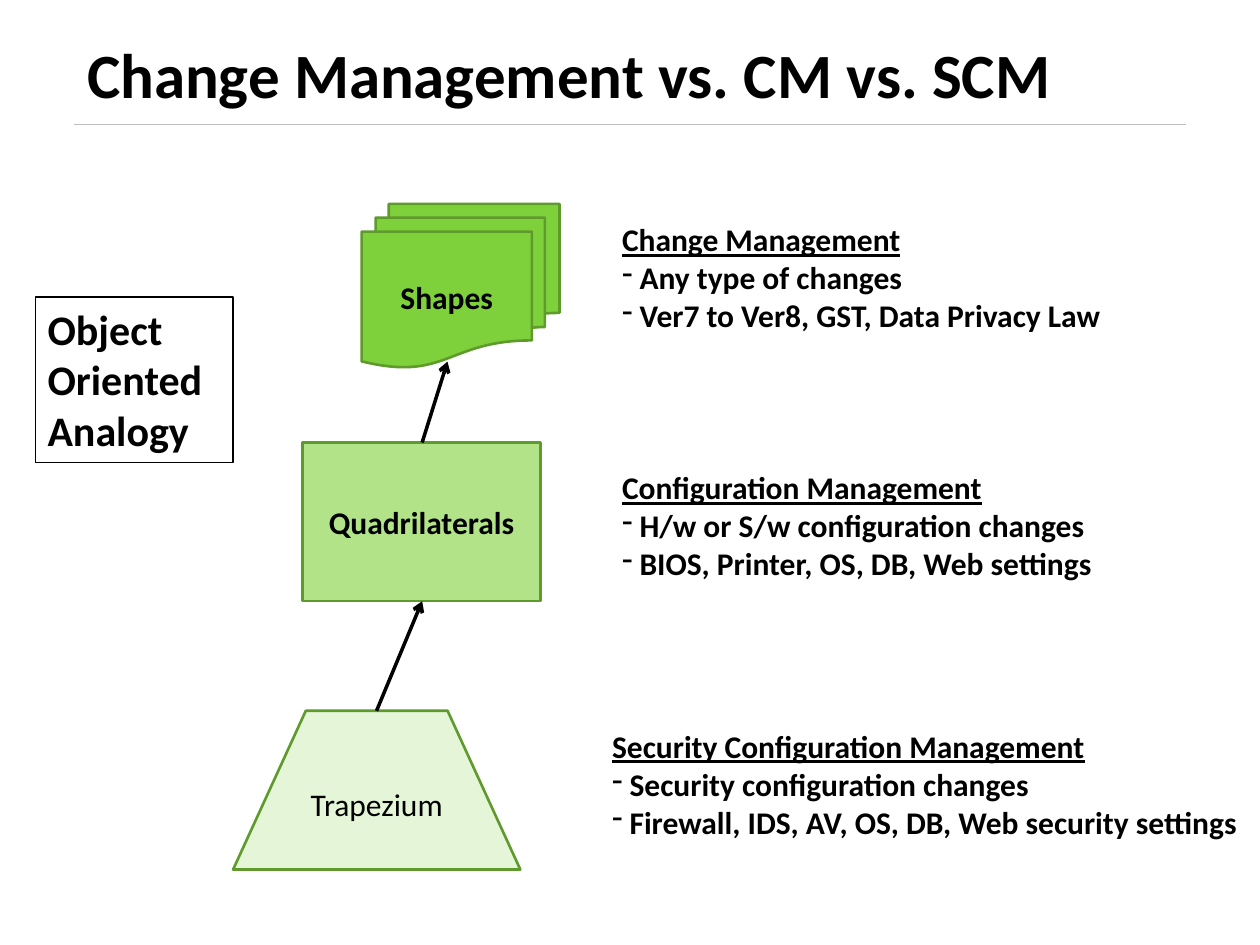
"""Build the slide comparing change, configuration and security configuration management."""
from lxml.etree import SubElement
from pptx import Presentation
from pptx.dml.color import RGBColor
from pptx.enum.shapes import MSO_CONNECTOR, MSO_SHAPE
from pptx.enum.text import MSO_ANCHOR, PP_ALIGN
from pptx.oxml.ns import qn
from pptx.util import Cm, Pt

BLACK = RGBColor(0x00, 0x00, 0x00)
GREY = RGBColor(0xBF, 0xBF, 0xBF)
DARK_GREEN = RGBColor(0x5E, 0x9B, 0x2C)
GREEN = RGBColor(0x7F, 0xD1, 0x3B)
MID_GREEN = RGBColor(0xB2, 0xE3, 0x89)
PALE_GREEN = RGBColor(0xE5, 0xF6, 0xD8)


def add_run(paragraph, text, size=18, bold=True, underline=None):
    run = paragraph.add_run()
    run.text = text
    run.font.name = "Calibri"
    run.font.size = Pt(size)
    run.font.bold = bold
    run.font.underline = underline
    run.font.color.rgb = BLACK


def add_line(start, end, color, width):
    line = slide.shapes.add_connector(
        MSO_CONNECTOR.STRAIGHT, *[Cm(value) for value in start + end])
    line.line.color.rgb = color
    line.line.width = Pt(width)
    SubElement(line._element.spPr, qn("a:effectLst"))
    return line


prs = Presentation()
prs.slide_width, prs.slide_height = Cm(25.4), Cm(19.05)
slide = prs.slides.add_slide(prs.slide_layouts[5])

title = slide.shapes.title
title.left, title.top, title.width, title.height = Cm(1.5), Cm(0.58), Cm(22.4), Cm(2.54)
title.text_frame.vertical_anchor = MSO_ANCHOR.TOP
heading = title.text_frame.paragraphs[0]
heading.alignment = PP_ALIGN.LEFT
add_run(heading, "Change Management vs. CM vs. SCM", 36)

add_line((1.5, 2.51), (23.9, 2.51), GREY, 0.94)

LEVELS = [
    ("Shapes", MSO_SHAPE.FLOWCHART_MULTIDOCUMENT, (7.29, 4.11, 3.99, 3.3), GREEN, True),
    ("Quadrilaterals", MSO_SHAPE.RECTANGLE, (6.1, 8.92, 4.8, 3.2), MID_GREEN, True),
    ("Trapezium", MSO_SHAPE.TRAPEZOID, (4.7, 14.33, 5.79, 3.2), PALE_GREEN, False),
]
for name, kind, box, color, bold in LEVELS:
    level = slide.shapes.add_shape(kind, *[Cm(value) for value in box])
    level.shadow.inherit = False
    level.fill.solid()
    level.fill.fore_color.rgb = color
    level.line.color.rgb = DARK_GREEN
    level.line.width = Pt(1.5)
    if kind == MSO_SHAPE.TRAPEZOID:
        level.adjustments[0] = 0.458
    level.text_frame.vertical_anchor = MSO_ANCHOR.MIDDLE
    label = level.text_frame.paragraphs[0]
    label.alignment = PP_ALIGN.CENTER
    add_run(label, name, bold=bold)

for start, end in [((8.51, 8.92), (9.02, 7.29)), ((7.59, 14.33), (8.51, 12.12))]:
    arrow = add_line(start, end, BLACK, 2)
    SubElement(arrow.line._get_or_add_ln(), qn("a:tailEnd"), type="arrow")

NOTES = [
    ((12.29, 4.32, 11, 2.57), "Change Management",
     ["Any type of changes", "Ver7 to Ver8, GST, Data Privacy Law"]),
    ((12.29, 9.32, 13, 2.57), "Configuration Management",
     ["H/w or S/w configuration changes", "BIOS, Printer, OS, DB, Web settings"]),
    ((12.09, 14.53, 13.31, 2.57), "Security Configuration Management",
     ["Security configuration changes",
      "Firewall, IDS, AV, OS, DB, Web security settings"]),
]
for box, topic, points in NOTES:
    frame = slide.shapes.add_textbox(*[Cm(value) for value in box]).text_frame
    frame.word_wrap = True
    add_run(frame.paragraphs[0], topic, underline=True)
    for point in points:
        item = frame.add_paragraph()
        SubElement(item._p.get_or_add_pPr(), qn("a:buChar"), char="-")
        add_run(item, " " + point)

analogy = slide.shapes.add_shape(
    MSO_SHAPE.RECTANGLE, Cm(0.71), Cm(5.99), Cm(3.99), Cm(3.33))
analogy.shadow.inherit = False
analogy.fill.background()
analogy.line.color.rgb = BLACK
analogy.line.width = Pt(0.75)
analogy.text_frame.word_wrap = True
analogy.text_frame.vertical_anchor = MSO_ANCHOR.TOP
caption = analogy.text_frame.paragraphs[0]
caption.alignment = PP_ALIGN.LEFT
add_run(caption, "Object Oriented Analogy", 24)

prs.save("out.pptx")
